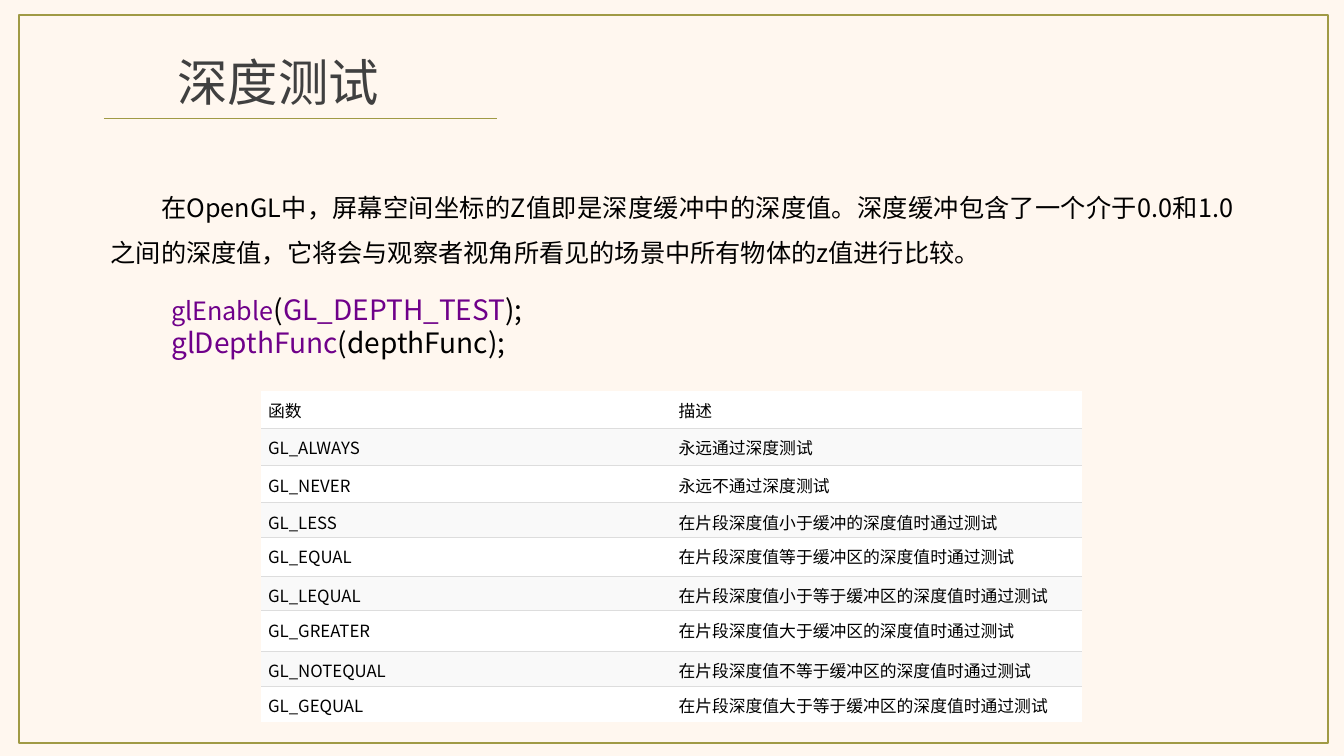
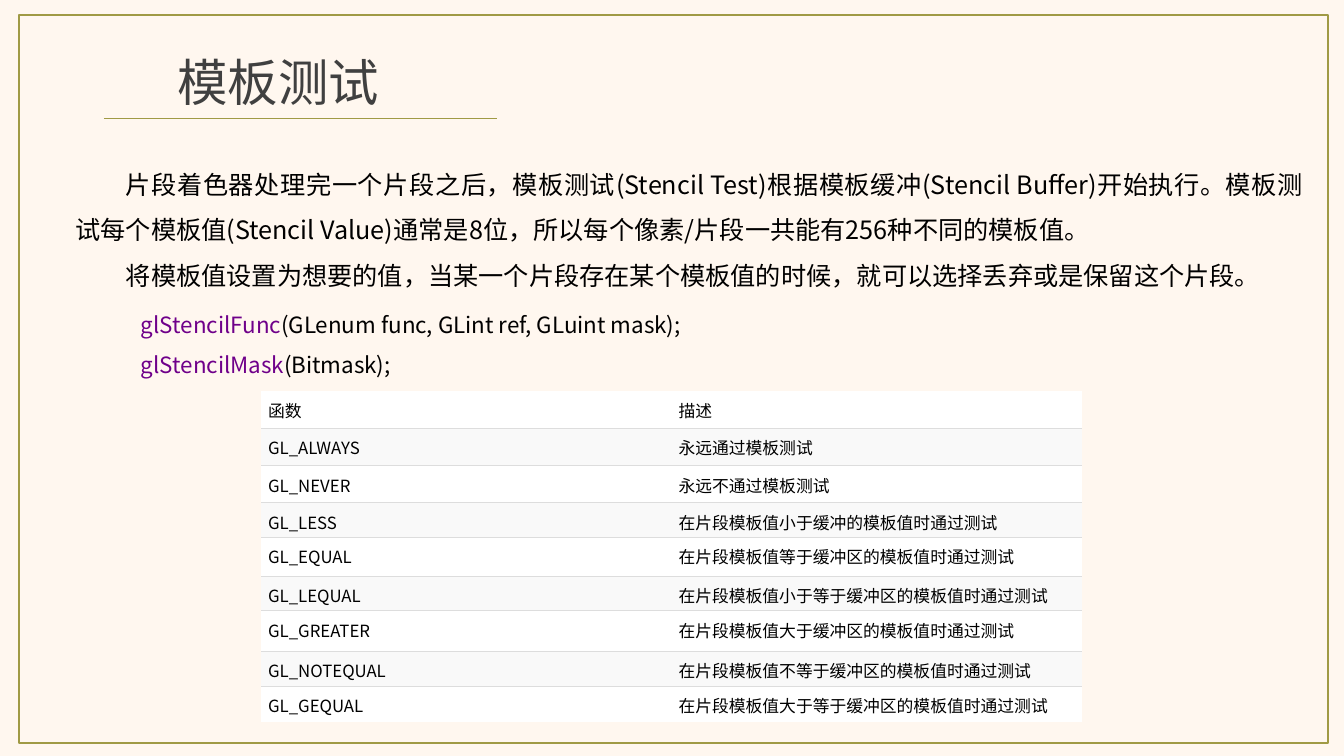
"""Builds two slides on the depth test and the stencil test."""
from lxml import etree
from pptx import Presentation
from pptx import util as u
from pptx.dml.color import RGBColor
from pptx.enum import shapes, text
from pptx.oxml.ns import qn

PX = 9144
FONT = "Noto Sans CJK SC"
CREAM, OLIVE, GREY, BLACK = "FFF7EF", "A09A45", "404040", "000000"
PURPLE, WHITE, PALE, RULE = "6F008A", "FFFFFF", "F9F9F9", "DDDDDD"
PLAIN = "{2D5ABB26-0587-4C30-8999-92F81FD0307C}"

SLIDES = [
    {
        "kind": "深度",
        "body": (100, 171, 1133, 96),
        "paras": ["在OpenGL中，屏幕空间坐标的Z值即是深度缓冲中的深度值。深度缓冲包含了一个介于0.0和1.0之间的深度值，"
                  "它将会与观察者视角所看见的场景中所有物体的z值进行比较。"],
        "code": (160, 285, 667, 77),
        "space": 1.0,
        "lines": [
            [("glEnable", 18, PURPLE), ("(", 20, BLACK), ("GL_DEPTH_TEST", 20, PURPLE), (");", 20, BLACK)],
            [("glDepthFunc", 20, PURPLE), ("(depthFunc);", 20, BLACK)],
        ],
    },
    {
        "kind": "模板",
        "body": (65, 148, 1237, 141),
        "paras": ["片段着色器处理完一个片段之后，模板测试(Stencil Test)根据模板缓冲(Stencil Buffer)开始执行。"
                  "模板测试每个模板值(Stencil Value)通常是8位，所以每个像素/片段一共能有256种不同的模板值。",
                  "将模板值设置为想要的值，当某一个片段存在某个模板值的时候，就可以选择丢弃或是保留这个片段。"],
        "code": (130, 290, 1122, 86),
        "space": 1.5,
        "lines": [
            [("glStencilFunc", 16, PURPLE), ("(GLenum func, GLint ref, GLuint mask);", 16, BLACK)],
            [("glStencilMask", 16, PURPLE), ("(Bitmask);", 16, BLACK)],
        ],
    },
]

ROWS = [
    (37, "函数", "描述"),
    (37, "GL_ALWAYS", "永远通过{0}测试"),
    (37, "GL_NEVER", "永远不通过{0}测试"),
    (34, "GL_LESS", "在片段{0}值小于缓冲的{0}值时通过测试"),
    (39, "GL_EQUAL", "在片段{0}值等于缓冲区的{0}值时通过测试"),
    (34, "GL_LEQUAL", "在片段{0}值小于等于缓冲区的{0}值时通过测试"),
    (40, "GL_GREATER", "在片段{0}值大于缓冲区的{0}值时通过测试"),
    (35, "GL_NOTEQUAL", "在片段{0}值不等于缓冲区的{0}值时通过测试"),
    (35, "GL_GEQUAL", "在片段{0}值大于等于缓冲区的{0}值时通过测试"),
]


def px(*nums):
    return [u.Emu(n * PX) for n in nums]


def paint(color, tone):
    color.rgb = RGBColor.from_string(tone)


def fill(part, tone):
    part.fill.solid()
    paint(part.fill.fore_color, tone)


def write(para, runs):
    for words, size, tone in runs:
        run = para.add_run()
        run.text = words
        run.font.size = u.Pt(size)
        run.font.name = FONT
        paint(run.font.color, tone)
        props = run.font._element
        etree.SubElement(props, qn("a:ea"), typeface=FONT)


def add_text(slide, box, lines, align=None, space=1.0, indent=0, wrap=True):
    frame = slide.shapes.add_textbox(*px(*box)).text_frame
    frame.word_wrap = wrap
    frame.auto_size = text.MSO_AUTO_SIZE.SHAPE_TO_FIT_TEXT
    for i, runs in enumerate(lines):
        para = frame.add_paragraph() if i else frame.paragraphs[0]
        para.alignment = align
        para.line_spacing = space
        if indent:
            props = para._p.get_or_add_pPr()
            props.set("marL", "0")
            props.set("indent", str(indent * PX))
        write(para, runs)


def add_frame(slide, title):
    add_text(slide, (165, 46, 222, 71), [[(title, 36, GREY)]],
             text.PP_ALIGN.CENTER, wrap=False)
    line = slide.shapes.add_connector(shapes.MSO_CONNECTOR.STRAIGHT, *px(103, 117, 493, 117))
    paint(line.line.color, OLIVE)
    line.line.width = u.Pt(0.5)
    etree.SubElement(line._element.spPr, qn("a:effectLst"))
    edge = slide.shapes.add_shape(shapes.MSO_SHAPE.RECTANGLE, *px(19, 15, 1298, 722))
    edge.shadow.inherit = False
    edge.fill.background()
    paint(edge.line.color, OLIVE)
    edge.line.width = u.Pt(1)


def add_border(cell, side, tone=None):
    props = cell._tc.get_or_add_tcPr()
    line = etree.SubElement(props, qn("a:ln" + side), w=str(u.Pt(0.75)))
    if tone:
        solid = etree.SubElement(line, qn("a:solidFill"))
        etree.SubElement(solid, qn("a:srgbClr"), val=tone)
    else:
        etree.SubElement(line, qn("a:noFill"))


def add_grid(slide, kind):
    total = sum(row[0] for row in ROWS)
    last = len(ROWS) - 1
    table = slide.shapes.add_table(len(ROWS), 2, *px(259, 388, 814, total)).table
    table._tbl.tblPr.find(qn("a:tableStyleId")).text = PLAIN
    table.first_row = table.horz_banding = False
    for i, (high, *words) in enumerate(ROWS):
        table.rows[i].height = u.Emu(high * PX)
        for j, word in enumerate(words):
            cell = table.cell(i, j)
            cell.margin_left = cell.margin_right = u.Emu(7 * PX)
            cell.margin_top = cell.margin_bottom = u.Emu(7 * PX)
            cell.vertical_anchor = text.MSO_ANCHOR.TOP if i else text.MSO_ANCHOR.BOTTOM
            add_border(cell, "L")
            add_border(cell, "R")
            add_border(cell, "T", RULE if i else None)
            add_border(cell, "B", RULE if i < last else None)
            fill(cell, PALE if i % 2 else WHITE)
            write(cell.text_frame.paragraphs[0], [(word.format(kind), 12, BLACK)])


def main():
    deck = Presentation()
    deck.slide_width, deck.slide_height = px(1333, 750)
    fill(deck.slide_master.background, CREAM)
    for data in SLIDES:
        slide = deck.slides.add_slide(deck.slide_layouts[6])
        add_frame(slide, data["kind"] + "测试")
        add_text(slide, data["body"], [[(para, 18, BLACK)] for para in data["paras"]],
                 text.PP_ALIGN.JUSTIFY, 1.5, 50)
        add_text(slide, data["code"], data["lines"], space=data["space"])
        add_grid(slide, data["kind"])
    deck.save("out.pptx")


if __name__ == "__main__":
    main()
